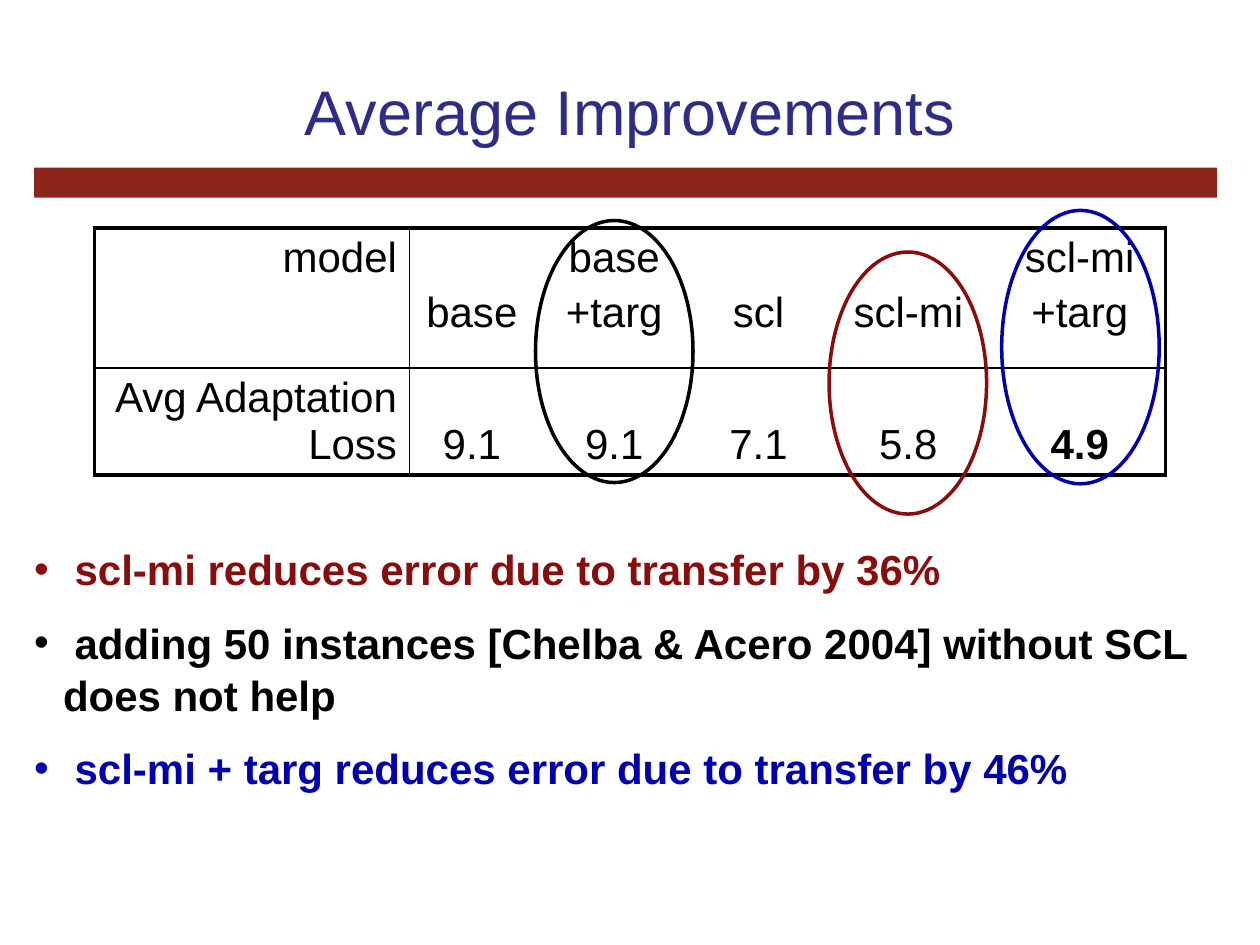
"""Build the Average Improvements slide with its table, bullets and rings."""
import lxml.etree
import pptx
import pptx.dml.color
import pptx.enum.shapes
import pptx.enum.text
import pptx.oxml.ns
import pptx.util

Inches, Pt = pptx.util.Inches, pptx.util.Pt
Align, Anchor = pptx.enum.text.PP_ALIGN, pptx.enum.text.MSO_ANCHOR
Kind = pptx.enum.shapes.MSO_SHAPE
qn = pptx.oxml.ns.qn
rgb = pptx.dml.color.RGBColor.from_string

theme = {
    "font": "Arial", "head": 36, "text": 24,
    "navy": "2D2D87", "bar": "8C261C", "black": "000000",
    "red": "880E0E", "blue": "0000AC",
}


def put(item, **vals):
    for name, val in vals.items():
        setattr(item, name, val)


def style(font, size, tint, bold=False):
    put(font, name=theme["font"], size=Pt(theme[size]), bold=bold)
    font.color.rgb = rgb(theme[tint])


deck = pptx.Presentation()
put(deck, slide_width=Inches(10), slide_height=Inches(7.5))
slide = deck.slides.add_slide(deck.slide_layouts[1])
shapes = slide.shapes

bar = shapes.add_shape(Kind.RECTANGLE, Inches(0.27), Inches(1.33), Inches(9.39), Inches(0.24))
bar.shadow.inherit = False
bar.fill.solid()
bar.fill.fore_color.rgb = rgb(theme["bar"])
bar.line.fill.background()

title = shapes.title
put(title, left=Inches(0.5), top=Inches(0.25), width=Inches(9), height=Inches(1.25))
put(title.text_frame, text="Average Improvements", vertical_anchor=Anchor.MIDDLE)
line = title.text_frame.paragraphs[0]
line.alignment = Align.CENTER
style(line.runs[0].font, "head", "navy")

rows = [
    ["model", "base", "base\n+targ", "scl", "scl-mi", "scl-mi\n+targ"],
    ["Avg Adaptation Loss", "9.1", "9.1", "7.1", "5.8", "4.9"],
]
wide = [2.5, 0.99, 1.27, 1.02, 1.36, 1.36]
high = [1.11, 0.85]
frame = shapes.add_table(len(rows), len(wide), Inches(0.75), Inches(1.81),
                         Inches(sum(wide)), Inches(sum(high)))
table = frame.table
put(table, first_row=False, horz_banding=False)
for col, size in zip(table.columns, wide):
    col.width = Inches(size)
for row, size in zip(table.rows, high):
    row.height = Inches(size)

for r, words in enumerate(rows):
    for c, word in enumerate(words):
        cell = table.cell(r, c)
        cell.text = word
        cell.fill.background()
        low = r == 1 and c > 0
        drop = r == 0 and c > 0 and "\n" not in word
        put(cell, vertical_anchor=Anchor.BOTTOM if low else Anchor.TOP,
            margin_top=Inches(0.49 if drop else 0.05))
        for line in cell.text_frame.paragraphs:
            put(line, alignment=Align.CENTER if c else Align.RIGHT,
                space_before=Pt(0 if r else 4.8))
            style(line.runs[0].font, "text", "black", word == "4.9")
        edges = {
            "lnL": {0: 2.25, 1: 1}.get(c, 0),
            "lnR": {0: 1, len(wide) - 1: 2.25}.get(c, 0),
            "lnT": 1 if r else 2.25,
            "lnB": 2.25 if r else 1,
        }
        props = cell._tc.get_or_add_tcPr()
        for spot, (tag, size) in enumerate(edges.items()):
            edge = lxml.etree.Element(qn("a:" + tag), w=str(Pt(size)))
            if size:
                fill = lxml.etree.SubElement(edge, qn("a:solidFill"))
                lxml.etree.SubElement(fill, qn("a:srgbClr"), val=theme["black"])
            else:
                lxml.etree.SubElement(edge, qn("a:noFill"))
            props.insert(spot, edge)

notes = [
    (" scl-mi reduces error due to transfer by 36%", "red"),
    (" adding 50 instances [Chelba & Acero 2004] without SCL does not help", "black"),
    (" scl-mi + targ reduces error due to transfer by 46%", "blue"),
]
body = slide.placeholders[1]
put(body, left=Inches(0.17), top=Inches(4.25), width=Inches(9.75), height=Inches(2.1))
put(body.text_frame, text="\n".join(text for text, tint in notes), word_wrap=True,
    vertical_anchor=Anchor.TOP, auto_size=pptx.enum.text.MSO_AUTO_SIZE.NONE)
for line, (text, tint) in zip(body.text_frame.paragraphs, notes):
    put(line, space_before=Pt(12), line_spacing=1.04, alignment=Align.LEFT)
    style(line.runs[0].font, "text", tint, True)
    props = line._p.get_or_add_pPr()
    props.set("marL", str(Inches(0.23)))
    props.set("indent", str(-Inches(0.23)))
    lxml.etree.SubElement(props, qn("a:buChar"), char="•")

rings = [(6.58, 2, 2.08, "red"), (4.25, 1.75, 2.08, "black"), (7.95, 1.67, 2.17, "blue")]
for left, top, tall, tint in rings:
    ring = shapes.add_shape(Kind.OVAL, Inches(left), Inches(top), Inches(1.25), Inches(tall))
    ring.shadow.inherit = False
    ring.fill.background()
    ring.line.color.rgb = rgb(theme[tint])
    ring.line.width = Pt(2)

deck.save("out.pptx")
